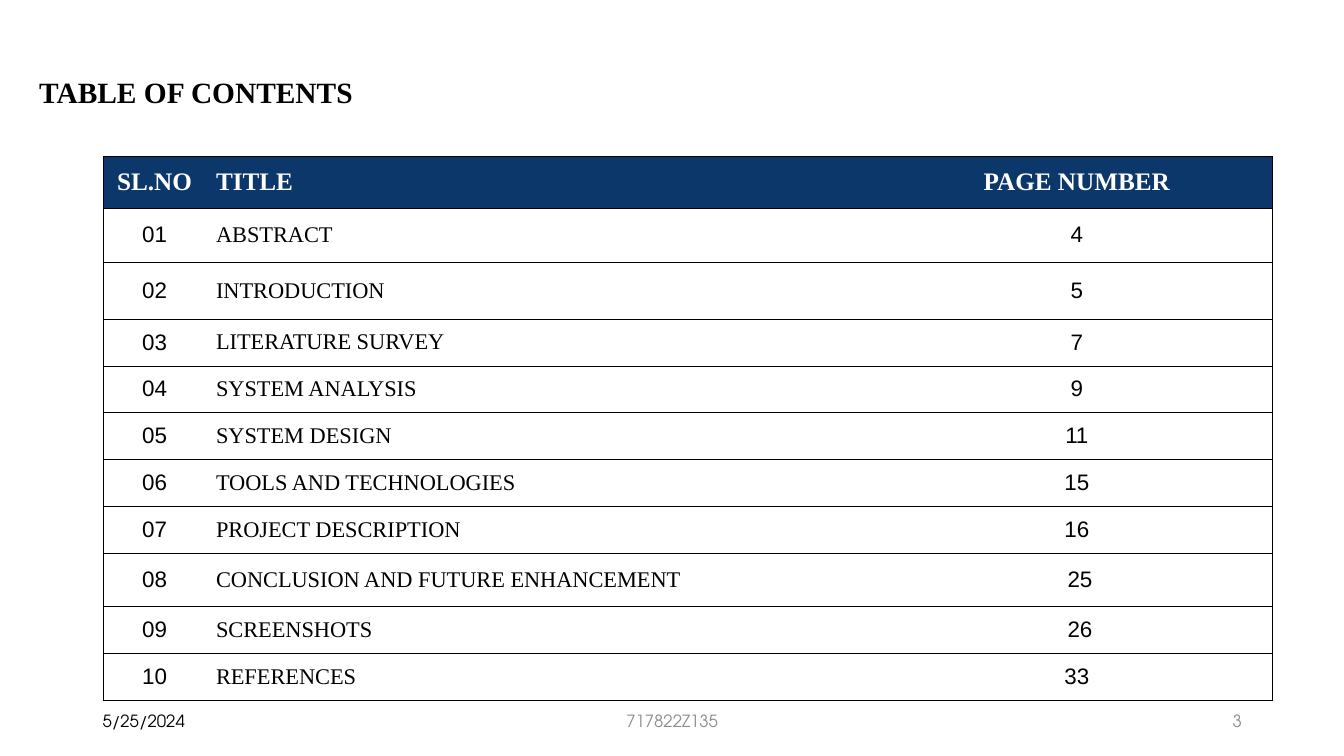
"""Build a table of contents slide with a ruled table and a footer."""
from lxml import etree
from pptx import Presentation
from pptx.dml.color import RGBColor
from pptx.enum.text import MSO_ANCHOR, PP_ALIGN
from pptx.oxml.ns import qn
from pptx.util import Pt

LEFT, CENTER, RIGHT = PP_ALIGN.LEFT, PP_ALIGN.CENTER, PP_ALIGN.RIGHT
MIDDLE = MSO_ANCHOR.MIDDLE
COLORS = {"black": "000000", "white": "FFFFFF", "navy": "0C376A", "gray": "8C8C8C"}
SERIF, SANS, FOOTER_FONT = "Times New Roman", "Arial", "TeX Gyre Adventor"


def write(text_frame, text, size, font_name, color, alignment, bold=False):
    """Put one formatted run into the first paragraph."""
    paragraph = text_frame.paragraphs[0]
    paragraph.alignment = alignment
    run = paragraph.add_run()
    run.text = text
    run.font.size = Pt(size)
    run.font.name = font_name
    run.font.bold = bold
    run.font.color.rgb = RGBColor.from_string(COLORS[color])


def set_borders(cell, visible_sides):
    """Rule the named sides of a cell and clear the others."""
    properties = cell._tc.get_or_add_tcPr()
    for side in "LRTB":
        line = etree.SubElement(properties, qn(f"a:ln{side}"), w=str(Pt(0.5)))
        if side in visible_sides:
            fill = etree.SubElement(line, qn("a:solidFill"))
            etree.SubElement(fill, qn("a:srgbClr"), val=COLORS["black"])
        else:
            etree.SubElement(line, qn("a:noFill"))


presentation = Presentation()
presentation.slide_width, presentation.slide_height = Pt(960), Pt(540)
slide = presentation.slides.add_slide(presentation.slide_layouts[6])

text_boxes = [
    ("TABLE OF CONTENTS", 20.9, 15.1, 828, 104.4, 21, SERIF, "black", LEFT, True),
    ("5/25/2024", 66.2, 500.4, 216, 28.8, 12, FOOTER_FONT, "black", LEFT, False),
    ("717822Z135", 318.2, 500.4, 324, 28.8, 12, FOOTER_FONT, "gray", CENTER, False),
    ("3", 678.2, 500.4, 216, 28.8, 12, FOOTER_FONT, "gray", RIGHT, False),
]
for text, left, top, width, height, size, font_name, color, alignment, bold in text_boxes:
    box = slide.shapes.add_textbox(Pt(left), Pt(top), Pt(width), Pt(height))
    box.text_frame.word_wrap = True
    box.text_frame.vertical_anchor = MIDDLE
    write(box.text_frame, text, size, font_name, color, alignment, bold)
    if size == 21:
        box.text_frame.paragraphs[0].line_spacing = 0.9

header = ("SL.NO", "TITLE", "PAGE NUMBER")
chapters = [
    ("ABSTRACT", "4"),
    ("INTRODUCTION", "5"),
    ("LITERATURE SURVEY", "7"),
    ("SYSTEM ANALYSIS", "9"),
    ("SYSTEM DESIGN", "11"),
    ("TOOLS AND TECHNOLOGIES", "15"),
    ("PROJECT DESCRIPTION", "16"),
    ("CONCLUSION AND FUTURE ENHANCEMENT", "25"),
    ("SCREENSHOTS", "26"),
    ("REFERENCES", "33"),
]
rows = [header] + [(f"{number:02}", *chapter) for number, chapter in enumerate(chapters, 1)]
column_widths = [73.4, 482.4, 279.4]
tall_rows = {0: 37.1, 1: 38.6, 2: 40.7, 8: 37.9}
row_heights = [tall_rows.get(index, 33.5) for index in range(len(rows))]
alignments = (CENTER, LEFT, CENTER)
body_fonts = (SANS, SERIF, SANS)
outer_sides = ("L", "", "R")
shifted_pages = ("25", "26")

table = slide.shapes.add_table(
    len(rows), len(header), Pt(73.7), Pt(111.5), Pt(sum(column_widths)), Pt(sum(row_heights))
).table
for column, width in zip(table.columns, column_widths):
    column.width = Pt(width)
for row_index, (values, height) in enumerate(zip(rows, row_heights)):
    table.rows[row_index].height = Pt(height)
    for column_index, text in enumerate(values):
        cell = table.cell(row_index, column_index)
        cell.vertical_anchor = MIDDLE
        set_borders(cell, "TB" + outer_sides[column_index])
        alignment = alignments[column_index]
        if row_index == 0:
            cell.fill.solid()
            cell.fill.fore_color.rgb = RGBColor.from_string(COLORS["navy"])
            write(cell.text_frame, text, 18, SERIF, "white", alignment, True)
        else:
            cell.fill.background()
            write(cell.text_frame, text, 16, body_fonts[column_index], "black", alignment)
        if text in shifted_pages:
            cell.margin_left = Pt(11.6)

presentation.save("out.pptx")
